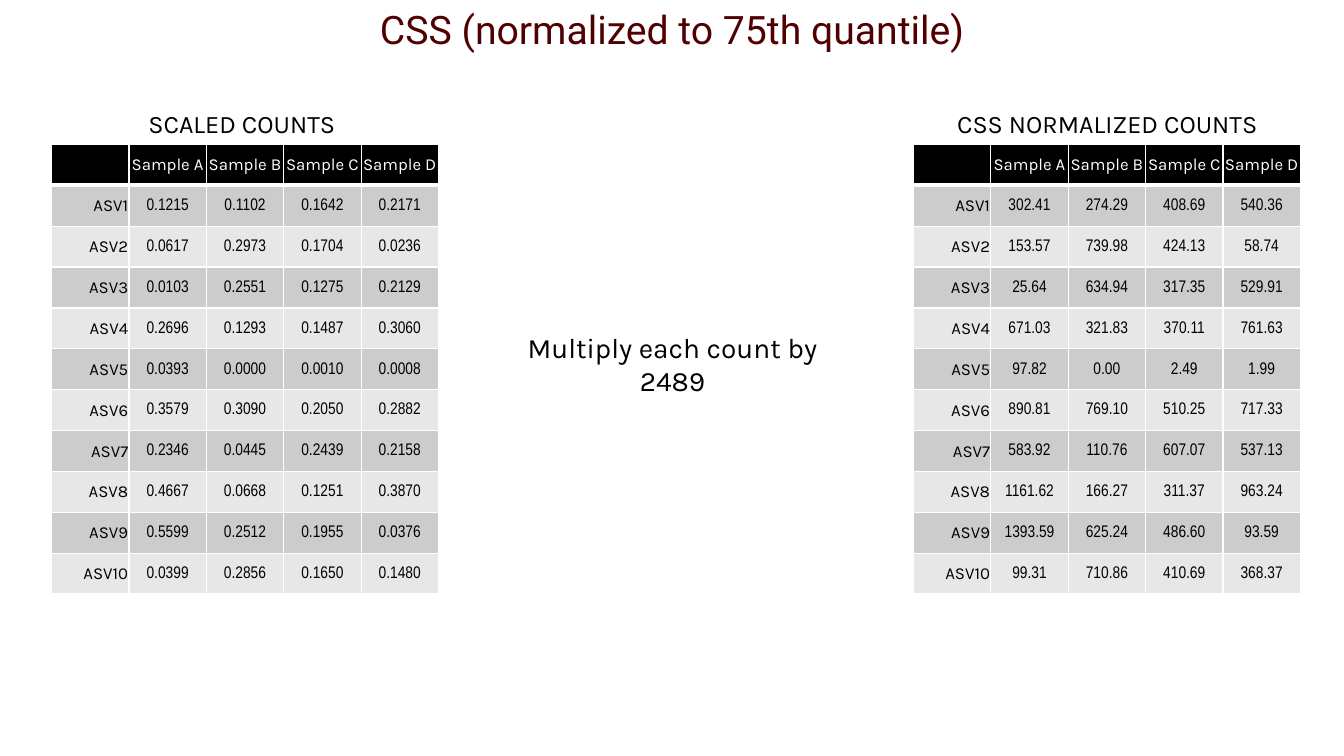
from lxml.etree import SubElement
from pptx import Presentation
from pptx.dml.color import RGBColor
from pptx.enum.text import MSO_ANCHOR, MSO_AUTO_SIZE, PP_ALIGN
from pptx.oxml.ns import qn
from pptx.util import Cm, Pt

SAMPLES = ["", "Sample A", "Sample B", "Sample C", "Sample D"]
SCALED = """\
0.1215 0.1102 0.1642 0.2171
0.0617 0.2973 0.1704 0.0236
0.0103 0.2551 0.1275 0.2129
0.2696 0.1293 0.1487 0.3060
0.0393 0.0000 0.0010 0.0008
0.3579 0.3090 0.2050 0.2882
0.2346 0.0445 0.2439 0.2158
0.4667 0.0668 0.1251 0.3870
0.5599 0.2512 0.1955 0.0376
0.0399 0.2856 0.1650 0.1480"""
NORMALIZED = """\
302.41 274.29 408.69 540.36
153.57 739.98 424.13 58.74
25.64 634.94 317.35 529.91
671.03 321.83 370.11 761.63
97.82 0.00 2.49 1.99
890.81 769.10 510.25 717.33
583.92 110.76 607.07 537.13
1161.62 166.27 311.37 963.24
1393.59 625.24 486.60 93.59
99.31 710.86 410.69 368.37"""


def color(value):
    return RGBColor.from_string(value)


class CountsSlide:
    TITLE_FONT, FONT, NUMBER_FONT = "Roboto", "Karla", "Arial Narrow"
    TITLE, TEXT, HEADER, LINE = "500000", "000000", "000000", "FFFFFF"
    BANDS = ["CCCCCC", "E7E7E7"]
    COL_W, ROW_H = 1.95, 1.03

    def __init__(self, prs):
        self.slide = prs.slides.add_slide(prs.slide_layouts[5])

    def add_text(self, tf, text, size, font, hex_color, align):
        p = tf.paragraphs[0]
        p.alignment = align
        r = p.add_run()
        r.text = text
        r.font.size = Pt(size)
        r.font.name = font
        r.font.color.rgb = color(hex_color)

    def title(self, text, width, height):
        sp = self.slide.shapes.title
        sp.left, sp.top, sp.width, sp.height = 0, 0, width, height
        tf = sp.text_frame
        tf.auto_size = MSO_AUTO_SIZE.NONE
        tf.vertical_anchor = MSO_ANCHOR.MIDDLE
        self.add_text(tf, text, 28, self.TITLE_FONT, self.TITLE, PP_ALIGN.CENTER)

    def label(self, text, x, y, w, h, size, align=PP_ALIGN.LEFT):
        sp = self.slide.shapes.add_textbox(Cm(x), Cm(y), Cm(w), Cm(h))
        sp.text_frame.word_wrap = True
        self.add_text(sp.text_frame, text, size, self.FONT, self.TEXT, align)

    def borders(self, cell, row):
        # The line between header and body is heavier than the rest
        widths = {"L": 1, "R": 1, "T": 3 if row == 1 else 1, "B": 3 if row == 0 else 1}
        tc_pr = cell._tc.get_or_add_tcPr()
        for side, width in widths.items():
            ln = SubElement(tc_pr, qn(f"a:ln{side}"), w=str(Pt(width)))
            fill = SubElement(ln, qn("a:solidFill"))
            SubElement(fill, qn("a:srgbClr"), val=self.LINE)

    def cell(self, cell, text, row, col):
        cell.margin_left = cell.margin_top = cell.margin_right = Cm(0.02)
        cell.margin_bottom = 0
        cell.vertical_anchor = MSO_ANCHOR.MIDDLE
        self.borders(cell, row)
        cell.fill.solid()
        cell.fill.fore_color.rgb = color(self.BANDS[(row - 1) % 2] if row else self.HEADER)
        if not text:
            cell.text_frame.paragraphs[0].font.size = Pt(12)
            return
        font = self.NUMBER_FONT if row and col else self.FONT
        align = PP_ALIGN.CENTER if col else PP_ALIGN.RIGHT
        self.add_text(cell.text_frame, text, 12, font, self.TEXT if row else self.LINE, align)

    def table(self, counts, x, y):
        rows = [SAMPLES] + [[f"ASV{n}", *line.split()]
                            for n, line in enumerate(counts.splitlines(), 1)]
        n_rows, n_cols = len(rows), len(SAMPLES)
        table = self.slide.shapes.add_table(
            n_rows, n_cols, Cm(x), Cm(y),
            Cm(self.COL_W * n_cols), Cm(self.ROW_H * n_rows)).table
        for column in table.columns:
            column.width = Cm(self.COL_W)
        for i, values in enumerate(rows):
            table.rows[i].height = Cm(self.ROW_H)
            for j, text in enumerate(values):
                self.cell(table.cell(i, j), text, i, j)


def main():
    prs = Presentation()
    prs.slide_width, prs.slide_height = Cm(33.87), Cm(19.05)
    s = CountsSlide(prs)

    # Title
    s.title("CSS (normalized to 75th quantile)", prs.slide_width, Cm(1.45))

    # Scaled counts
    s.table(SCALED, 1.3, 3.64)
    s.label("SCALED COUNTS", 3.49, 2.6, 5.4, 1.02, 18)

    # Scaling step
    s.label("Multiply each count by 2489", 12.4, 8.2, 9.1, 1.12, 20, PP_ALIGN.CENTER)

    # Normalized counts
    s.table(NORMALIZED, 23.02, 3.64)
    s.label("CSS NORMALIZED COUNTS", 23.87, 2.6, 8.6, 1.02, 18)

    prs.save("out.pptx")


if __name__ == "__main__":
    main()
